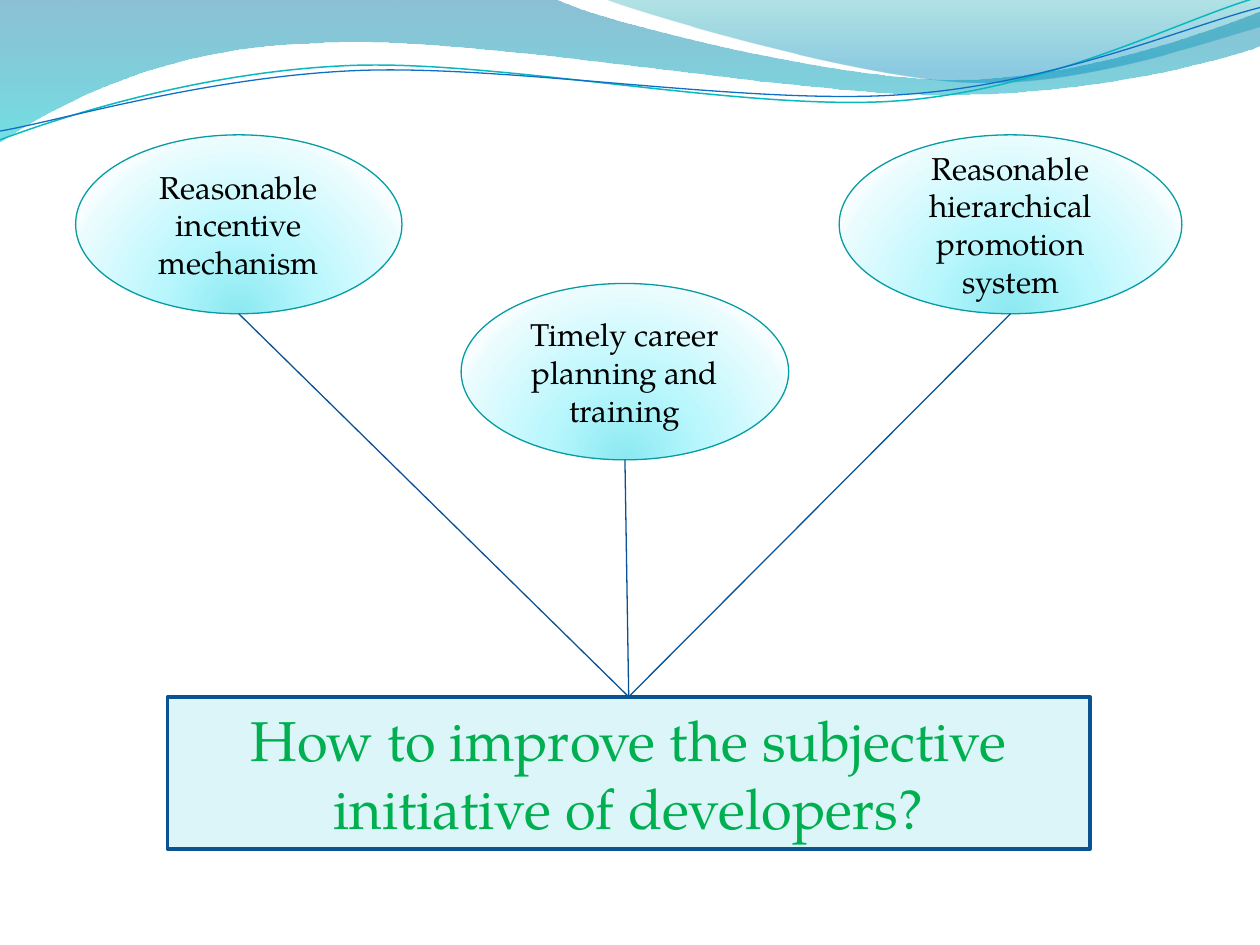
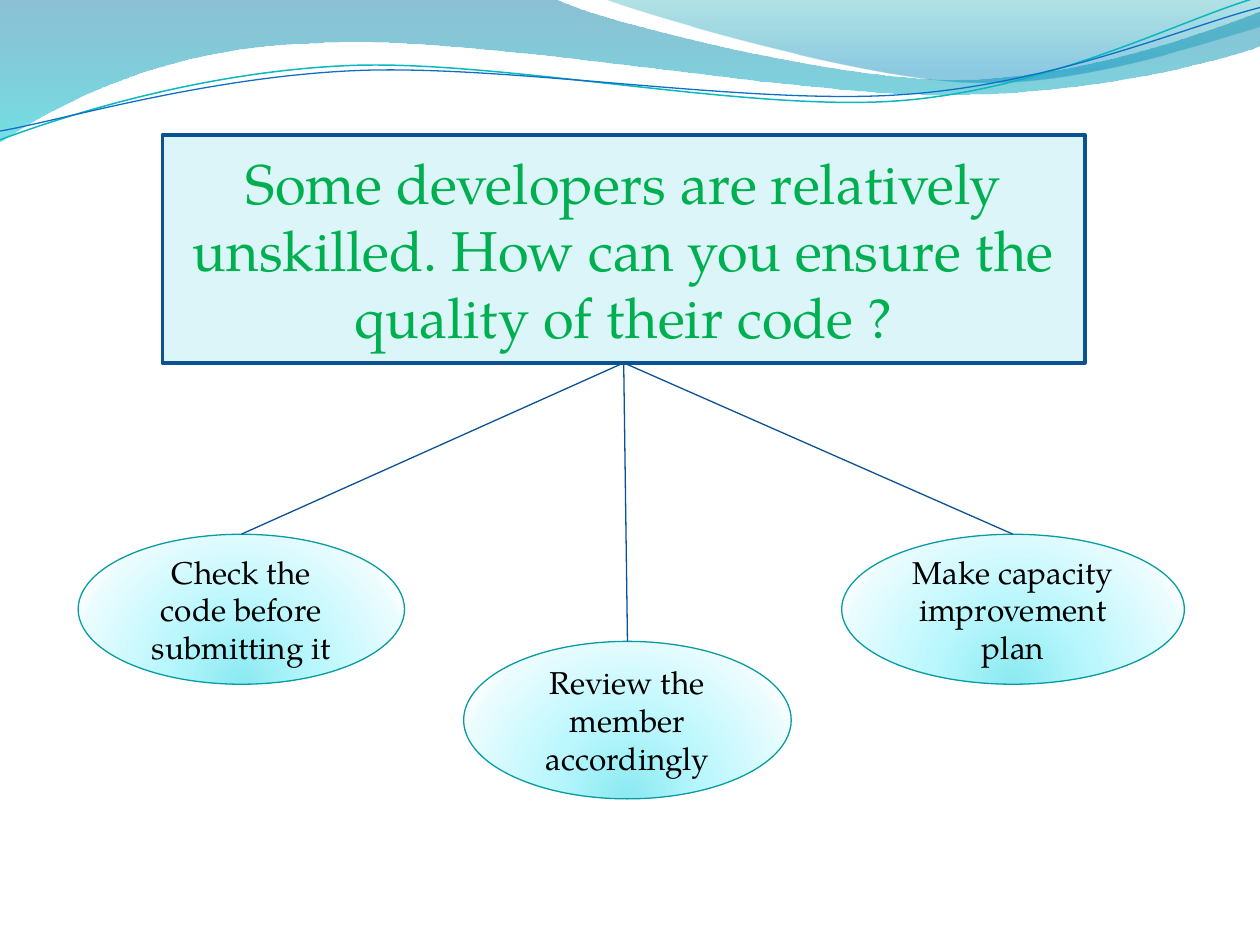
from math import cos, radians, sin

from lxml.etree import SubElement
from pptx import Presentation
from pptx.dml.color import RGBColor
from pptx.enum.shapes import MSO_CONNECTOR as CONN, MSO_SHAPE as SHAPE
from pptx.enum.text import MSO_ANCHOR as ANCHOR, PP_ALIGN as ALIGN
from pptx.oxml.ns import qn
from pptx.util import Inches, Pt

FONT = "TeX Gyre Pagella"
BLACK = RGBColor(0x00, 0x00, 0x00)
GREEN = RGBColor(0x00, 0xB0, 0x50)
PALE = RGBColor(0xDB, 0xF5, 0xF9)
BOX_EDGE = RGBColor(0x0B, 0x52, 0x92)
LINK = RGBColor(0x09, 0x52, 0x95)
OVAL_EDGE = RGBColor(0x06, 0x9C, 0xA3)
TEAL = RGBColor(0x0A, 0xB8, 0xBF)
BLUE = RGBColor(0x0F, 0x6F, 0xC6)

BAND_STOPS = [(0, RGBColor(0x00, 0x74, 0xA1), 45),
              (100, RGBColor(0x00, 0xC6, 0xCF), 55)]
CORNER_STOPS = [(0, RGBColor(0x00, 0xA1, 0xA9), 30),
                (80, RGBColor(0x00, 0x8B, 0xBF), 45)]
OVAL_STOPS = [(0, RGBColor(0x8B, 0xE9, 0xF1), 100),
              (43, RGBColor(0xB9, 0xF7, 0xFD), 100),
              (93, RGBColor(0xEA, 0xFC, 0xFE), 100),
              (100, RGBColor(0xF8, 0xFE, 0xFF), 100)]
OVAL_FOCUS = {"l": 50, "t": 130, "r": 50, "b": -30}

BAND = [(0, 0), (4.4, -0.01),
        (4.76, 0.17, 6.64, 0.63, 7.58, 0.63),
        (8.53, 0.63, 9.58, 0.26, 10, 0.09), (10.01, 0.36),
        (9.83, 0.44, 8.7, 0.76, 7.46, 0.75),
        (6.22, 0.75, 3.82, 0.28, 2.57, 0.34),
        (1.29, 0.36, 0.46, 0.83, -0.01, 1.13)]
CORNER = [(4.79, -0.01), (5.09, 0.11, 6.82, 0.62, 7.69, 0.65),
          (8.56, 0.69, 9.61, 0.32, 10, 0.21), (10, 0)]
TEAL_WAVE = [(0, 1.11), (0.48, 0.93, 1.58, 0.57, 2.77, 0.52),
             (3.95, 0.47, 5.93, 0.89, 7.13, 0.8),
             (8.33, 0.71, 9.38, 0.15, 9.98, -0.02)]
BLUE_WAVE = [(0, 1.04), (0.47, 0.96, 1.64, 0.61, 2.83, 0.56),
             (4.03, 0.51, 5.97, 0.84, 7.17, 0.75),
             (8.36, 0.67, 9.41, 0.21, 10, 0.06)]
WAVE_TILT = -2.7
WAVE_CENTER = (4.99, 0.58)

COLUMNS = [(6.66, 2.72), (0.6, 2.59), (3.66, 2.6)]
BOX_WIDTH = 7.32


def set_all(target, values):
    for name, value in values.items():
        setattr(target, name, value)


def set_line(s, color, width):
    s.line.color.rgb = color
    s.line.width = Pt(width)


def set_gradient(s, stops, focus=None):
    s.fill.solid()
    solid = s._element.spPr.find(qn("a:solidFill"))
    grad = solid.makeelement(qn("a:gradFill"), {"rotWithShape": "1"})
    solid.getparent().replace(solid, grad)
    gs_list = SubElement(grad, qn("a:gsLst"))
    for pos, color, opacity in stops:
        gs = SubElement(gs_list, qn("a:gs"), pos=str(pos * 1000))
        clr = SubElement(gs, qn("a:srgbClr"), val=str(color))
        if opacity < 100:
            SubElement(clr, qn("a:alpha"), val=str(opacity * 1000))
    if focus:
        circle = SubElement(grad, qn("a:path"), {"path": "circle"})
        SubElement(circle, qn("a:fillToRect"),
                   {side: str(v * 1000) for side, v in focus.items()})
    else:
        SubElement(grad, qn("a:lin"), ang="5400000", scaled="1")


def turn(point, angle):
    dx, dy = (v - c for v, c in zip(point, WAVE_CENTER))
    c, s = cos(radians(angle)), sin(radians(angle))
    return WAVE_CENTER[0] + dx * c - dy * s, WAVE_CENTER[1] + dx * s + dy * c


def add_outline(slide, segments, close, tilt=0):
    points = [tuple(map(Inches, turn(seg[i:i + 2], -tilt)))
              for seg in segments for i in range(0, len(seg), 2)]
    builder = slide.shapes.build_freeform(*points[0], scale=1.0)
    builder.add_line_segments(points[1:], close=close)
    s = builder.convert_to_shape()
    set_all(s, {"rotation": tilt})
    s.shadow.inherit = False
    steps = iter(list(s._element.iter(qn("a:lnTo"))))
    for seg in segments[1:]:
        step = next(steps)
        if len(seg) == 6:
            curve = step.makeelement(qn("a:cubicBezTo"), {})
            step.addprevious(curve)
            for knot in (step, next(steps), next(steps)):
                curve.append(knot[0])
                knot.getparent().remove(knot)
    return s


def add_waves(slide):
    for segments, stops in ((BAND, BAND_STOPS), (CORNER, CORNER_STOPS)):
        s = add_outline(slide, segments, True)
        set_gradient(s, stops)
        s.line.fill.background()
    for segments, color, width in ((TEAL_WAVE, TEAL, 0.85),
                                   (BLUE_WAVE, BLUE, 0.75)):
        s = add_outline(slide, segments, False, WAVE_TILT)
        s.fill.background()
        set_line(s, color, width)


def add_label(slide, kind, at, text, size, color):
    s = slide.shapes.add_shape(kind, *map(Inches, at))
    s.shadow.inherit = False
    tf = s.text_frame
    set_all(tf, {"word_wrap": True, "vertical_anchor": ANCHOR.MIDDLE})
    p = tf.paragraphs[0]
    p.alignment = ALIGN.CENTER
    r = p.add_run()
    r.text = text
    set_all(r.font, {"name": FONT, "size": Pt(size)})
    r.font.color.rgb = color
    return s


def add_oval(slide, at, text):
    s = add_label(slide, SHAPE.OVAL, at, text, 18, BLACK)
    set_gradient(s, OVAL_STOPS, OVAL_FOCUS)
    set_line(s, OVAL_EDGE, 0.75)
    return s


def add_question(slide, at, text):
    s = add_label(slide, SHAPE.RECTANGLE, at, text, 32, GREEN)
    s.fill.solid()
    s.fill.fore_color.rgb = PALE
    set_line(s, BOX_EDGE, 2)
    return s


def add_link(slide, upper, lower):
    cx = slide.shapes.add_connector(
        CONN.STRAIGHT,
        upper.left + upper.width // 2, upper.top + upper.height,
        lower.left + lower.width // 2, lower.top)
    set_line(cx, LINK, 0.75)
    SubElement(cx._element.spPr, qn("a:effectLst"))


def add_diagram(prs, question, box, answers, shift=0):
    slide = prs.slides.add_slide(prs.slide_layouts[6])
    add_waves(slide)
    ovals = [add_oval(slide, (left + shift, top, width, height), text)
             for (left, width), (text, top, height) in zip(COLUMNS, answers)]
    left, top, height = box
    hub = add_question(slide, (left, top, BOX_WIDTH, height), question)
    for oval in ovals:
        add_link(slide, *sorted((oval, hub), key=lambda s: s.top))


def main():
    prs = Presentation()
    set_all(prs, {"slide_width": Inches(10), "slide_height": Inches(7.5)})
    add_diagram(prs, "How to improve the subjective initiative of developers?",
                (1.33, 5.53, 1.21),
                [("Reasonable hierarchical promotion system", 1.07, 1.42),
                 ("Reasonable incentive mechanism", 1.07, 1.42),
                 ("Timely career planning and training", 2.25, 1.4)])
    add_diagram(prs, "Some developers are relatively unskilled. "
                "How can you ensure the quality of their code ?",
                (1.29, 1.07, 1.81),
                [("Make capacity improvement plan", 4.24, 1.19),
                 ("Check the code before submitting it", 4.24, 1.19),
                 ("Review the member accordingly", 5.09, 1.25)],
                shift=0.02)
    prs.save("out.pptx")


main()
